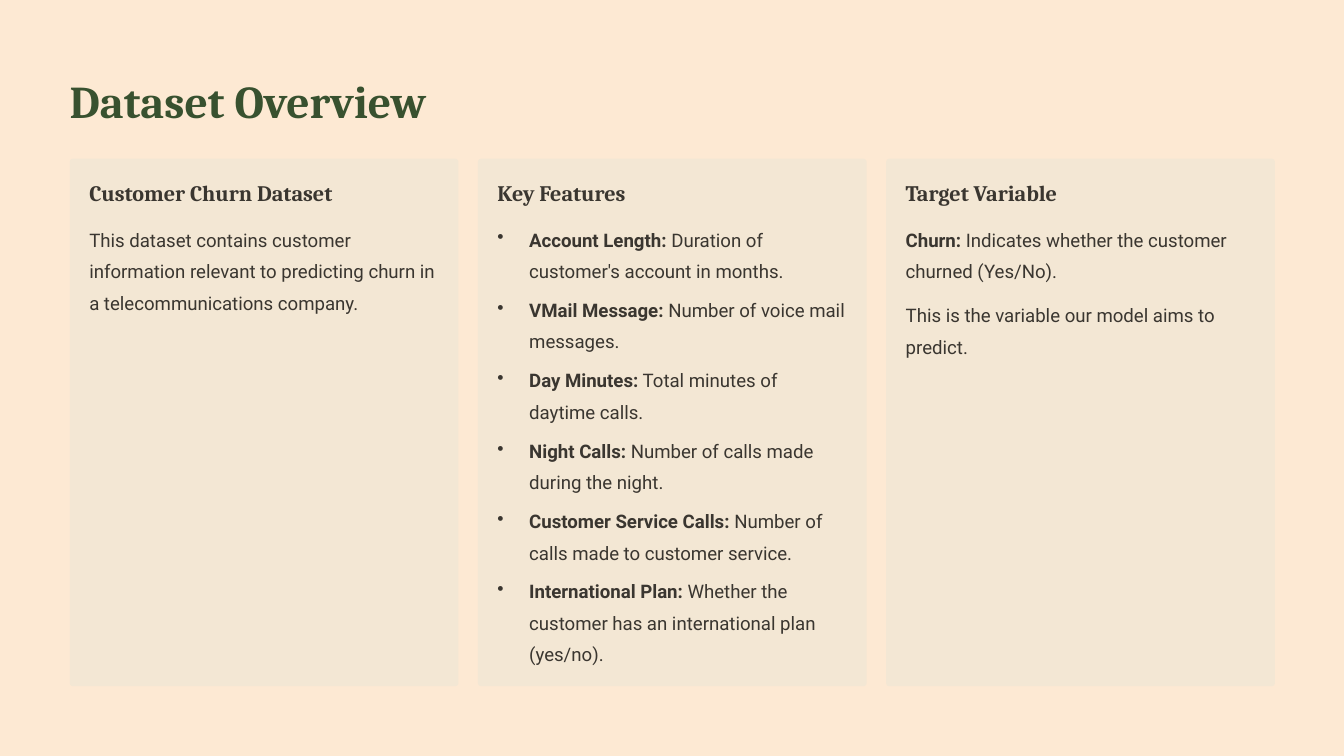
import pptx
import pptx.util
import pptx.dml.color
import pptx.enum.shapes
import pptx.enum.text
import pptx.oxml.ns
import lxml.etree
from dataclasses import dataclass

Cm, Pt = pptx.util.Cm, pptx.util.Pt


@dataclass(frozen=True)
class Style:
    font: str
    size: float
    color: str
    line: float
    bold: bool = False


@dataclass(frozen=True)
class Theme:
    back: str = "FDE9D3"
    card: str = "F3E7D4"
    title: Style = Style("Cambria", 39, "38512F", 49, True)
    head: Style = Style("Cambria", 19, "3A3630", 24, True)
    body: Style = Style("Roboto", 16, "3A3630", 27)


@dataclass(frozen=True)
class Card:
    head: str
    items: list  # (bold lead, text) pairs
    gap: float = 0
    list: bool = False


THEME = Theme()
PAD = 0.59
CARDS = [
    Card("Customer Churn Dataset", [
        ("", "This dataset contains customer information relevant to "
             "predicting churn in a telecommunications company."),
    ]),
    Card("Key Features", [
        ("Account Length:", " Duration of customer's account in months."),
        ("VMail Message:", " Number of voice mail messages."),
        ("Day Minutes:", " Total minutes of daytime calls."),
        ("Night Calls:", " Number of calls made during the night."),
        ("Customer Service Calls:", " Number of calls made to customer service."),
        ("International Plan:",
         " Whether the customer has an international plan (yes/no)."),
    ], gap=6.3, list=True),
    Card("Target Variable", [
        ("Churn:", " Indicates whether the customer churned (Yes/No)."),
        ("", "This is the variable our model aims to predict."),
    ], gap=10.8),
]


def rgb(code):
    return pptx.dml.color.RGBColor.from_string(code)


def bullet(para):
    props = para._p.get_or_add_pPr()
    props.set("marL", str(Cm(0.96)))
    props.set("indent", str(-Cm(0.96)))
    mark = lxml.etree.SubElement(props, pptx.oxml.ns.qn("a:buChar"))
    mark.set("char", "•")


def write(slide, box, items, style, wrap=True, gap=0, dots=False):
    """Place a text box whose paragraphs are (bold lead, text) pairs."""
    frame = slide.shapes.add_textbox(*map(Cm, box)).text_frame
    frame.margin_left = frame.margin_right = 0
    frame.margin_top = frame.margin_bottom = 0
    frame.word_wrap = wrap
    frame.auto_size = pptx.enum.text.MSO_AUTO_SIZE.SHAPE_TO_FIT_TEXT
    for i, (lead, text) in enumerate(items):
        para = frame.paragraphs[0] if i == 0 else frame.add_paragraph()
        if dots:
            bullet(para)
        para.line_spacing = Pt(style.line)
        if i:
            para.space_before = Pt(gap)
        for part, bold in ((lead, True), (text, style.bold)):
            if part:
                run = para.add_run()
                run.text = part
                run.font.name = style.font
                run.font.size = Pt(style.size)
                run.font.bold = bold
                run.font.color.rgb = rgb(style.color)


def draw_card(slide, box, card):
    x, y, w, h = box
    kind = pptx.enum.shapes.MSO_SHAPE.ROUNDED_RECTANGLE
    panel = slide.shapes.add_shape(kind, *map(Cm, box))
    panel.adjustments[0] = 0.008
    panel.shadow.inherit = False
    panel.fill.solid()
    panel.fill.fore_color.rgb = rgb(THEME.card)
    panel.line.fill.background()
    inner = w - 2 * PAD
    write(slide, (x + PAD, y + PAD, inner, 0.85), [("", card.head)],
          THEME.head, wrap=False)
    write(slide, (x + PAD, y + 1.83, inner, h - 1.83 - PAD), card.items,
          THEME.body, gap=card.gap, dots=card.list)


def draw_row(slide, box, cards, gap=0.59):
    x, y, w, h = box
    wide = (w - gap * (len(cards) - 1)) / len(cards)
    for i, card in enumerate(cards):
        draw_card(slide, (x + i * (wide + gap), y, wide, h), card)


def main():
    deck = pptx.Presentation()
    deck.slide_width, deck.slide_height = Cm(40.64), Cm(22.86)
    slide = deck.slides.add_slide(deck.slide_layouts[6])
    slide.background.fill.solid()
    slide.background.fill.fore_color.rgb = rgb(THEME.back)
    write(slide, (2.11, 2.13, 11.5, 1.7), [("", "Dataset Overview")],
          THEME.title, wrap=False)
    draw_row(slide, (2.11, 4.8, 36.44, 15.95), CARDS)
    deck.save("out.pptx")


if __name__ == "__main__":
    main()
